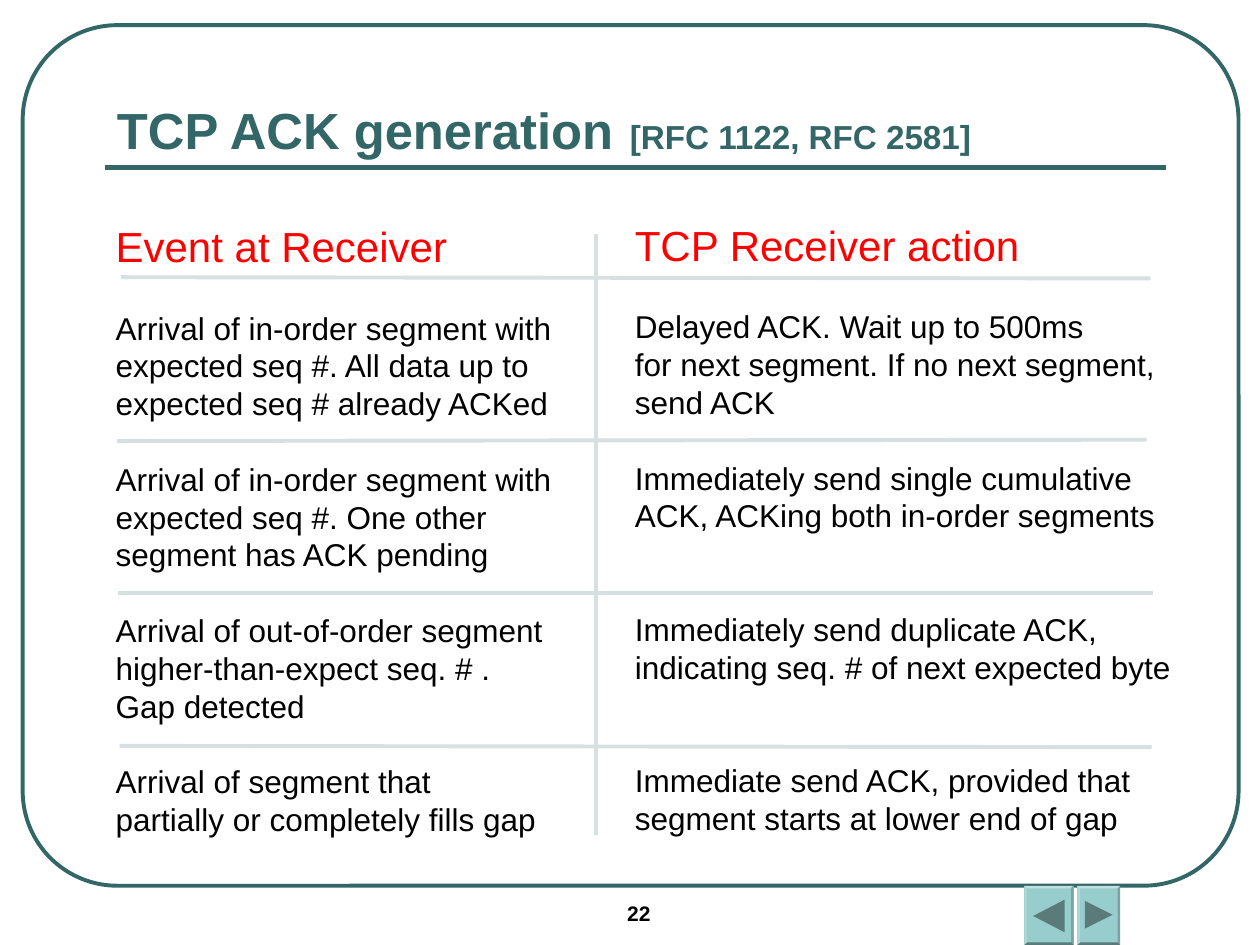
from lxml.etree import SubElement
from pptx import Presentation
from pptx.dml.color import RGBColor as Rgb
from pptx.enum.shapes import MSO_CONNECTOR as Conn, MSO_SHAPE as Form
from pptx.enum.text import MSO_ANCHOR as Anchor
from pptx.oxml.ns import qn
from pptx.util import Inches, Pt

TEAL, PALE, RED, BLACK = "336666", "D6E0E0", "FF0000", "000000"
BODY, HEAD, LEAD, SPAN = 18, 24, 1.2, 4
FACE, LIGHT, SOFT, DIM, DARK = "97CDCC", "C1E1E0", "ACD7D6", "79A4A3", "5B7B7A"

TITLE = [("TCP ACK generation", 29), (" ", 33), ("[RFC 1122, RFC 2581]", 19)]
COLUMNS = [
    ((0.82, 1.7, 3.66, 5.6), "Event at Receiver", [
        ["Arrival of in-order segment with", "expected seq #. All data up to",
         "expected seq # already ACKed"],
        ["Arrival of in-order segment with", "expected seq #. One other",
         "segment has ACK pending"],
        ["Arrival of out-of-order segment", "higher-than-expect seq. # .",
         "Gap detected"],
        ["Arrival of segment that", "partially or completely fills gap"],
    ]),
    ((4.94, 1.69, 4.45, 5.6), "TCP Receiver action", [
        ["Delayed ACK. Wait up to 500ms",
         "for next segment. If no next segment,", "send ACK"],
        ["Immediately send single cumulative",
         "ACK, ACKing both in-order segments"],
        ["Immediately send duplicate ACK,",
         "indicating seq. # of next expected byte"],
        ["Immediate send ACK, provided that",
         "segment starts at lower end of gap"],
    ]),
]
RULES = [
    (0.96, 2.2, 9.13, 2.21), (0.93, 3.5, 9.1, 3.49), (0.94, 4.71, 9.15, 4.71),
    (0.95, 5.92, 9.14, 5.93), (4.73, 1.86, 4.73, 6.63),
]
BUTTONS = [
    ((8.13, 7.03, 8.52, 7.5), [(8.2, 7.27), (8.45, 7.14), (8.45, 7.4)]),
    ((8.55, 7.03, 8.89, 7.5), [(8.61, 7.15), (8.83, 7.26), (8.61, 7.37)]),
]


def tint(code):
    """Turn a hex string into a colour."""
    return Rgb.from_string(code)


def rule(shapes, ends, code, width):
    """Draw a straight line without a shadow."""
    line = shapes.add_connector(Conn.STRAIGHT, *map(Inches, ends))
    line.line.color.rgb = tint(code)
    line.line.width = Pt(width)
    SubElement(line._element.spPr, qn("a:effectLst"))


def patch(shapes, points, code):
    """Draw a filled polygon without an outline."""
    first, *rest = [tuple(map(Inches, point)) for point in points]
    pen = shapes.build_freeform(*first, scale=1.0)
    pen.add_line_segments(rest, close=True)
    shape = pen.convert_to_shape()
    shape.shadow.inherit = False
    shape.fill.solid()
    shape.fill.fore_color.rgb = tint(code)
    shape.line.fill.background()


def button(shapes, box, arrow, rim=0.02):
    """Draw a bevelled button with an arrow on it."""
    def ring(x, y, right, low):
        return [(x, y), (right, y), (right, low), (x, low)]

    x, y, right, low = box
    outer = ring(*box)
    inner = ring(x + rim, y + rim, right - rim, low - rim)
    patch(shapes, outer, FACE)
    for i, code in enumerate((LIGHT, DIM, DARK, SOFT)):
        j = (i + 1) % 4
        patch(shapes, [outer[i], outer[j], inner[j], inner[i]], code)
    patch(shapes, arrow, DARK)


def frame(shapes, box, **style):
    """Add a text box and return its text frame."""
    text = shapes.add_textbox(*map(Inches, box)).text_frame
    for name, value in {"word_wrap": True, **style}.items():
        setattr(text, name, value)
    return text


def write(para, words, size, code, bold=False):
    """Add one styled run to a paragraph."""
    run = para.add_run()
    run.text = words
    style = {"name": "Arial", "size": Pt(size), "bold": bold}
    for name, value in style.items():
        setattr(run.font, name, value)
    run.font.color.rgb = tint(code)


def column(shapes, box, head, rows):
    """Write a heading and its rows, each row starting on the shared grid."""
    text = frame(shapes, box, word_wrap=False)
    lines = [(head, HEAD, RED, 0)]
    gap = 1
    for row in rows:
        lines += [(words, BODY, BLACK, 0 if i else gap)
                  for i, words in enumerate(row)]
        gap = SPAN - len(row)
    for i, (words, size, code, skip) in enumerate(lines):
        para = text.add_paragraph() if i else text.paragraphs[0]
        para.line_spacing = Pt(size * LEAD)
        para.space_before = Pt(skip * BODY * LEAD)
        write(para, words, size, code)


def main():
    """Build the slide and save it."""
    deck = Presentation()
    deck.slide_width, deck.slide_height = Inches(10), Inches(7.5)
    shapes = deck.slides.add_slide(deck.slide_layouts[6]).shapes

    edge = shapes.add_shape(Form.ROUNDED_RECTANGLE,
                            *map(Inches, (0.18, 0.2, 9.65, 6.83)))
    edge.adjustments[0] = 0.11
    edge.shadow.inherit = False
    edge.fill.background()
    edge.line.color.rgb = tint(TEAL)
    edge.line.width = Pt(2.25)
    rule(shapes, (0.83, 1.33, 9.25, 1.33), TEAL, 3)
    for box, arrow in BUTTONS:
        button(shapes, box, arrow)

    page = frame(shapes, (4.88, 7.1, 1.17, 0.33))
    write(page.paragraphs[0], "22", 12, BLACK, True)
    title = frame(shapes, (0.83, 0.58, 8.42, 0.75),
                  vertical_anchor=Anchor.BOTTOM)
    for words, size in TITLE:
        write(title.paragraphs[0], words, size, TEAL, True)
    for box, head, rows in COLUMNS:
        column(shapes, box, head, rows)
    for ends in RULES:
        rule(shapes, ends, PALE, 2.25)
    deck.save("out.pptx")


if __name__ == "__main__":
    main()
